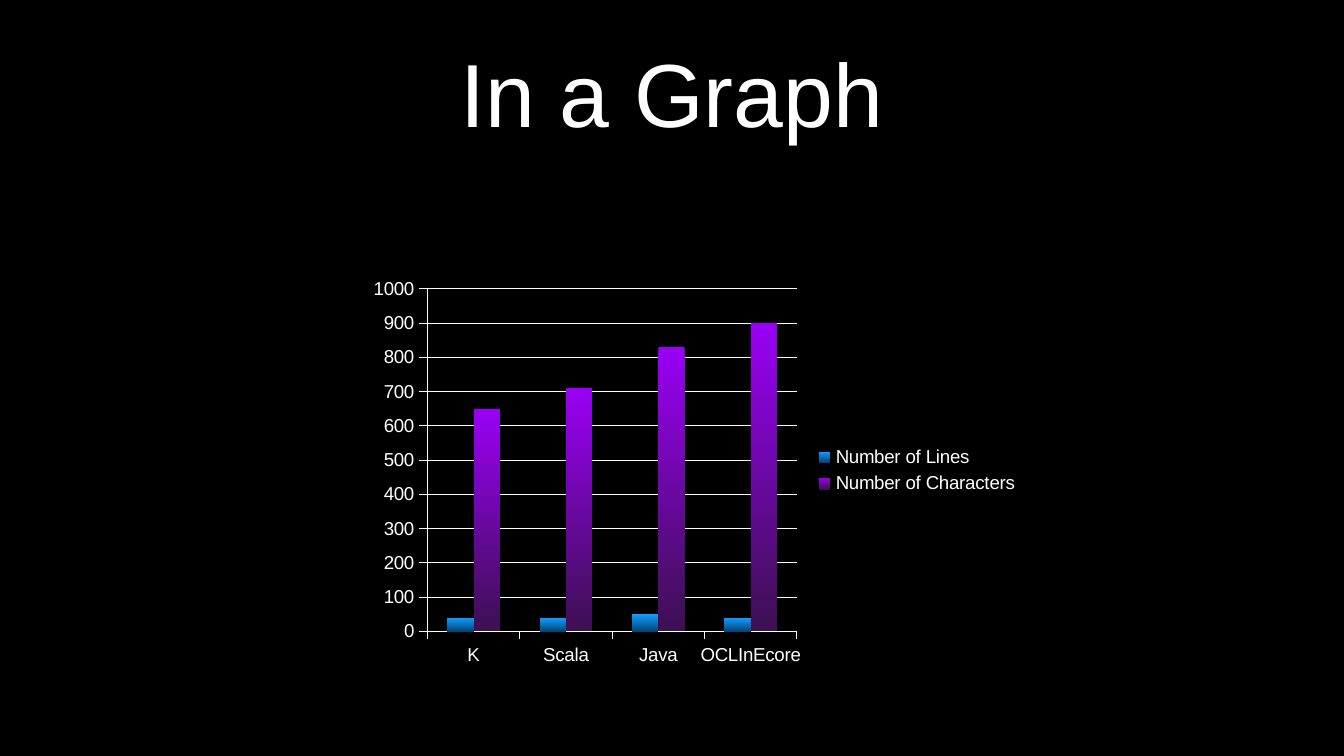
"""Build the slide that compares program sizes in a column chart."""
import pptx
import pptx.chart.data
import pptx.dml.color
import pptx.enum.chart
import pptx.enum.text
import pptx.oxml
import pptx.oxml.ns
import pptx.util

Inches = pptx.util.Inches


def color(value):
    return pptx.dml.color.RGBColor.from_string(value)


def assign(target, values):
    for name, value in values.items():
        setattr(target, name, value)


class GraphSlide:
    font_name = "Arial"
    foreground = "FFFFFF"
    background = "000000"

    def __init__(self, deck):
        self.slide = deck.slides.add_slide(deck.slide_layouts[6])
        fill = self.slide.background.fill
        fill.solid()
        fill.fore_color.rgb = color(self.background)

    def style_font(self, font, size):
        assign(font, {"name": self.font_name, "size": pptx.util.Pt(size), "bold": False})
        font.color.rgb = color(self.foreground)

    def add_title(self, wording, box):
        heading = self.slide.shapes.add_textbox(*map(Inches, box)).text_frame
        assign(heading, {
            "text": wording,
            "word_wrap": True,
            "vertical_anchor": pptx.enum.text.MSO_ANCHOR.MIDDLE,
        })
        line = heading.paragraphs[0]
        line.alignment = pptx.enum.text.PP_ALIGN.CENTER
        self.style_font(line.runs[0].font, 48)

    def style_line(self, line):
        line.color.rgb = color(self.foreground)
        line.width = pptx.util.Pt(0.5)

    def place_plot(self, chart, area):
        plot_area = chart.element.find(".//" + pptx.oxml.ns.qn("c:plotArea"))
        for old in plot_area.findall(pptx.oxml.ns.qn("c:layout")):
            plot_area.remove(old)
        sizes = "".join(f'<c:{key} val="{value}"/>' for key, value in area.items())
        plot_area.insert(0, pptx.oxml.parse_xml(
            f'<c:layout {pptx.oxml.ns.nsdecls("c")}><c:manualLayout>'
            '<c:layoutTarget val="inner"/><c:xMode val="edge"/><c:yMode val="edge"/>'
            f'{sizes}</c:manualLayout></c:layout>'))

    def add_columns(self, categories, measures, box, area):
        data = pptx.chart.data.CategoryChartData()
        data.categories = categories
        for name, (values, _) in measures.items():
            data.add_series(name, values)
        kind = pptx.enum.chart.XL_CHART_TYPE.COLUMN_CLUSTERED
        chart = self.slide.shapes.add_chart(kind, *map(Inches, box), data).chart
        assign(chart, {"has_title": False, "has_legend": True})
        self.style_font(chart.font, 10)
        assign(chart.legend, {
            "position": pptx.enum.chart.XL_LEGEND_POSITION.RIGHT,
            "include_in_layout": False,
        })
        columns = chart.plots[0]
        assign(columns, {"gap_width": 150, "overlap": 0, "vary_by_categories": False})
        for series, (_, shades) in zip(columns.series, measures.values()):
            fill = series.format.fill
            fill.gradient()
            fill.gradient_angle = 270
            for stop, shade in zip(fill.gradient_stops, shades):
                stop.color.rgb = color(shade)
        for axis in (chart.category_axis, chart.value_axis):
            axis.major_tick_mark = pptx.enum.chart.XL_TICK_MARK.OUTSIDE
            self.style_line(axis.format.line)
            self.style_font(axis.tick_labels.font, 10)
        assign(chart.value_axis, {
            "minimum_scale": 0,
            "maximum_scale": 1000,
            "major_unit": 100,
            "has_major_gridlines": True,
        })
        self.style_line(chart.value_axis.major_gridlines.format.line)
        self.place_plot(chart, area)


def main():
    deck = pptx.Presentation()
    width = Inches(10)
    assign(deck, {"slide_width": width, "slide_height": width * 9 // 16})
    graph = GraphSlide(deck)
    graph.add_title("In a Graph", (0.75, 0.1, 8.5, 1.17))
    graph.add_columns(
        ["K", "Scala", "Java", "OCLInEcore"],
        {
            "Number of Lines": ([40, 40, 50, 40], ("149CFF", "004576")),
            "Number of Characters": ([650, 710, 830, 900], ("9900F5", "3D1052")),
        },
        (2.68, 2, 5, 3),
        {"x": 0.1, "y": 0.05, "w": 0.55, "h": 0.85},
    )
    deck.save("out.pptx")


if __name__ == "__main__":
    main()
